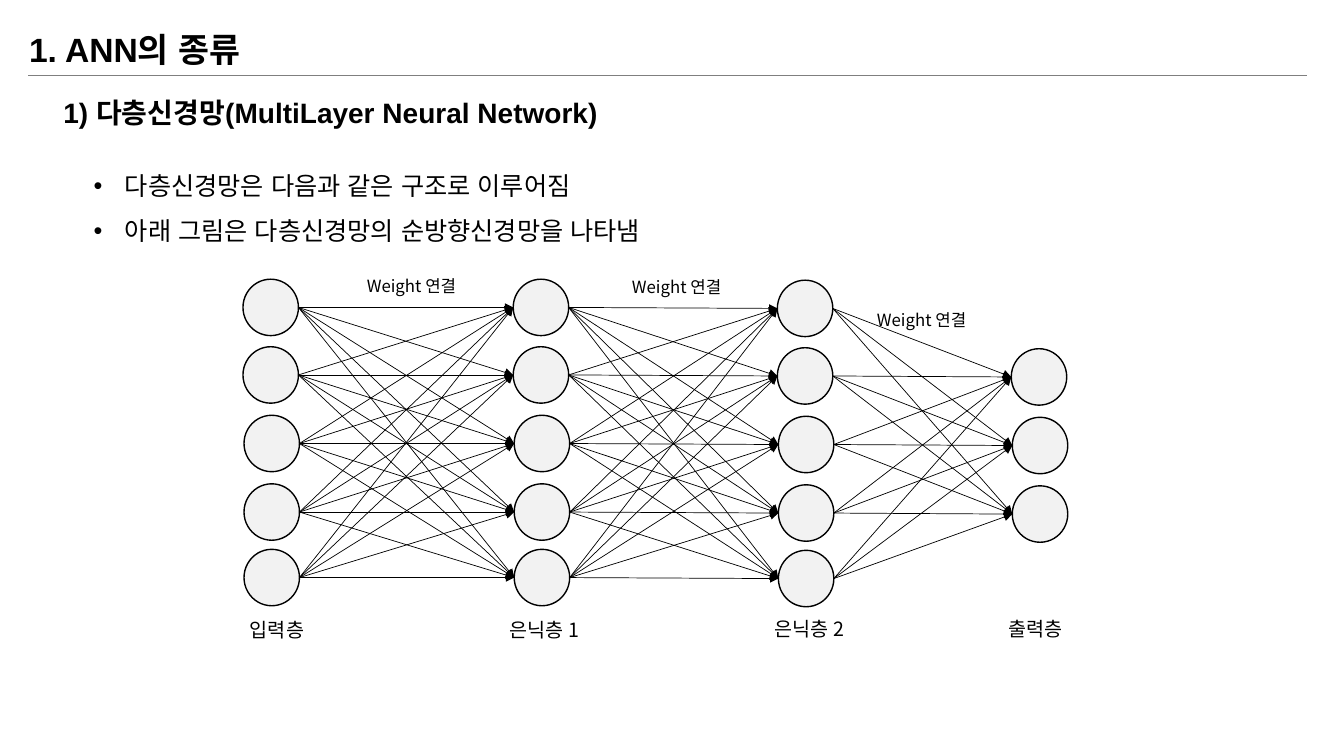
from itertools import product

from lxml import etree
from pptx import Presentation
from pptx import util as u
from pptx.dml.color import RGBColor
from pptx.enum import lang, shapes
from pptx.oxml import ns

PX = 9144  # EMU in one px, 100 px to the inch
COLORS = {"ink": "000000", "node": "F2F2F2", "rule": "7F7F7F"}
HEADING, BODY = "Arial", "Noto Sans CJK KR"
NODE_W, NODE_H = 55, 56
ROWS = [0, 67, 135, 203, 268]


class SlideBuilder:
    def __init__(self, slide):
        self.shapes = slide.shapes

    def color(self, name):
        return RGBColor.from_string(COLORS[name])

    def text(self, left, top, width, height, lines, size, font=BODY,
             bold=False, bullets=False):
        box = self.shapes.add_textbox(*(v * PX for v in (left, top, width, height)))
        frame = box.text_frame
        frame.word_wrap = True
        frame.text = "\n".join(lines)
        for para in frame.paragraphs:
            if bullets:
                self.bullet(para)
            for span in para.runs:
                span.font.size = u.Pt(size)
                span.font.name = font
                span.font.bold = bold
                span.font.color.rgb = self.color("ink")
                span.font.language_id = lang.MSO_LANGUAGE_ID.KOREAN
                latin = span.font._element.find(ns.qn("a:latin"))
                east_asian = etree.Element(ns.qn("a:ea"), typeface=BODY)
                latin.addnext(east_asian)

    def bullet(self, para):
        para.line_spacing = 1.5
        props = para._p.get_or_add_pPr()
        props.set("marL", str(31 * PX))
        props.set("indent", str(-31 * PX))
        etree.SubElement(props, ns.qn("a:buFont"), typeface="Arial")
        etree.SubElement(props, ns.qn("a:buChar"), char="•")

    def line(self, start, end, color="ink", arrow=False):
        link = self.shapes.add_connector(
            shapes.MSO_CONNECTOR.STRAIGHT, *(v * PX for v in (*start, *end)))
        link.line.width = u.Pt(0.5)
        link.line.color.rgb = self.color(color)
        if arrow:
            etree.SubElement(link.line._get_or_add_ln(), ns.qn("a:tailEnd"),
                             type="triangle")
        etree.SubElement(link._element.spPr, ns.qn("a:effectLst"))

    def node(self, left, top):
        circle = self.shapes.add_shape(
            shapes.MSO_SHAPE.OVAL, *(v * PX for v in (left, top, NODE_W, NODE_H)))
        circle.shadow.inherit = False
        circle.fill.solid()
        circle.fill.fore_color.rgb = self.color("node")
        circle.line.color.rgb = self.color("ink")
        circle.line.width = u.Pt(1)


def main():
    deck = Presentation()
    deck.slide_width, deck.slide_height = 1333 * PX, 750 * PX
    page = SlideBuilder(deck.slides.add_slide(deck.slide_layouts[6]))

    # Headings and bullets
    page.line((28, 75), (1296, 75), "rule")
    page.text(19, 24, 1300, 50, ["1. ANN의 종류"], 24, HEADING, bold=True)
    page.text(53, 90, 915, 44, ["1) 다층신경망(MultiLayer Neural Network)"],
              20, HEADING, bold=True)
    page.text(83, 149, 1165, 101,
              ["다층신경망은 다음과 같은 구조로 이루어짐",
               "아래 그림은 다층신경망의 순방향신경망을 나타냄"],
              18, bullets=True)

    # Layers: left, top, rows in use; the lower three rows sit 1 px to the right
    layers = [
        [(left + (row >= 2), top + ROWS[row]) for row in rows]
        for left, top, rows in [(241, 277, range(5)), (509, 277, range(5)),
                                (771, 278, range(5)), (1003, 279, range(1, 4))]
    ]
    for layer in layers:
        for left, top in layer:
            page.node(left, top)

    # Every node feeds every node of the next layer
    for sources, targets in zip(layers, layers[1:]):
        for (x1, y1), (x2, y2) in product(sources, targets):
            page.line((x1 + NODE_W, y1 + NODE_H // 2), (x2, y2 + NODE_H // 2),
                      arrow=True)

    # Layer names and weight labels
    for left, top, name in [(238, 608, "입력층"), (495, 608, "은닉층 1"),
                            (758, 607, "은닉층 2"), (990, 607, "출력층")]:
        page.text(left, top, 125, 34, [name], 14)
    for left, top in [(354, 269), (617, 270), (860, 302)]:
        page.text(left, top, 144, 30, ["Weight 연결"], 12)

    deck.save("out.pptx")


if __name__ == "__main__":
    main()
